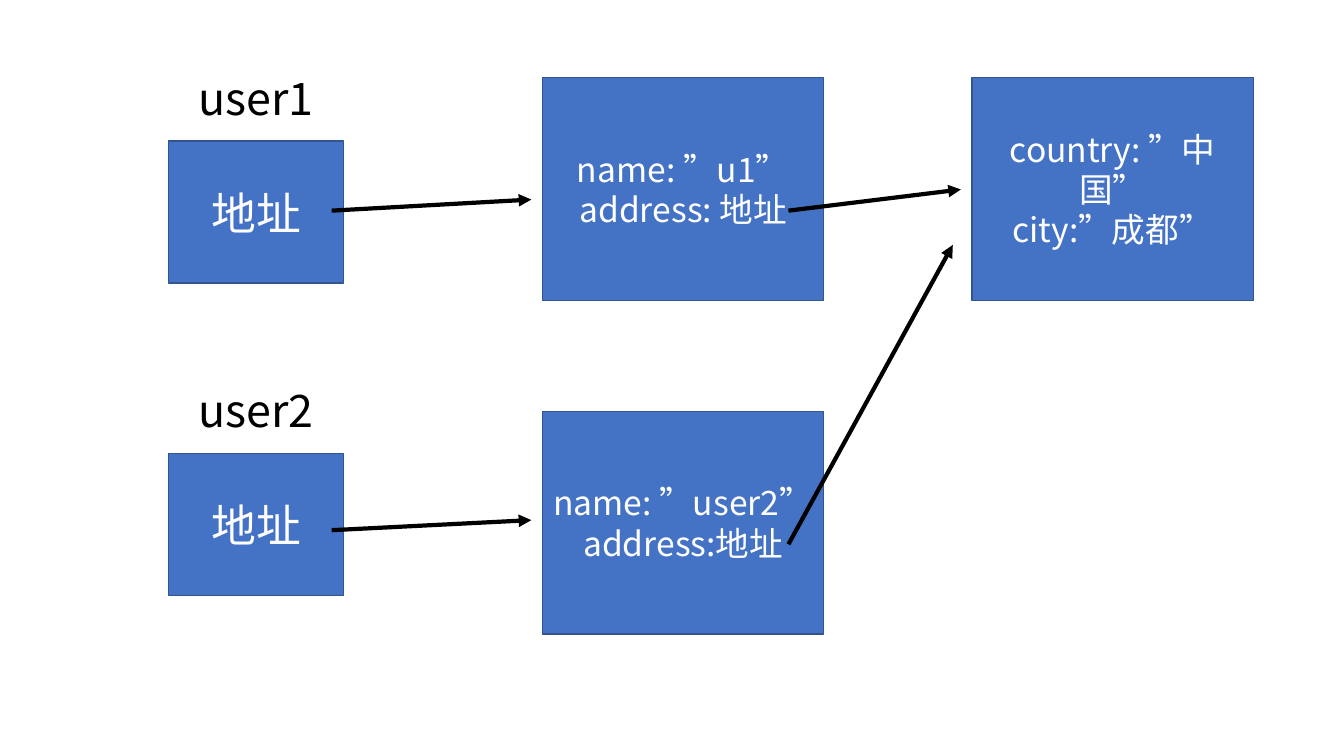
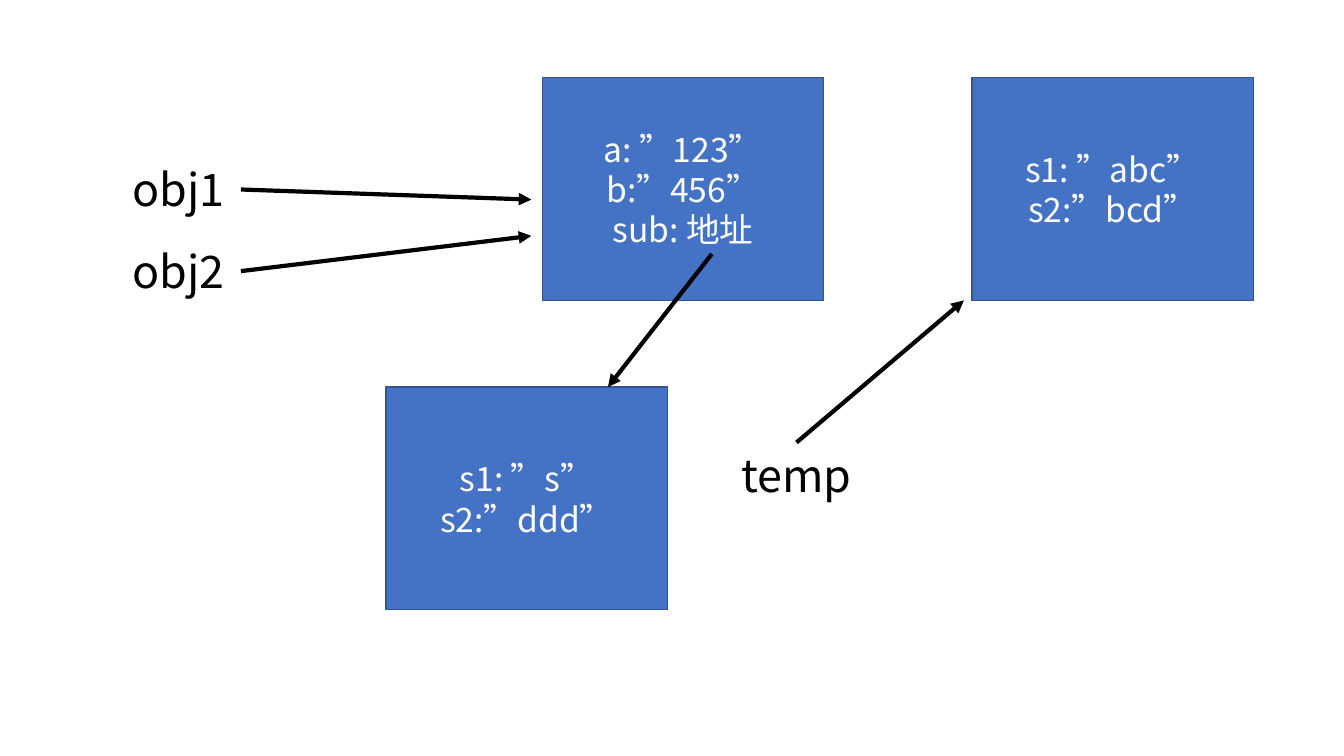
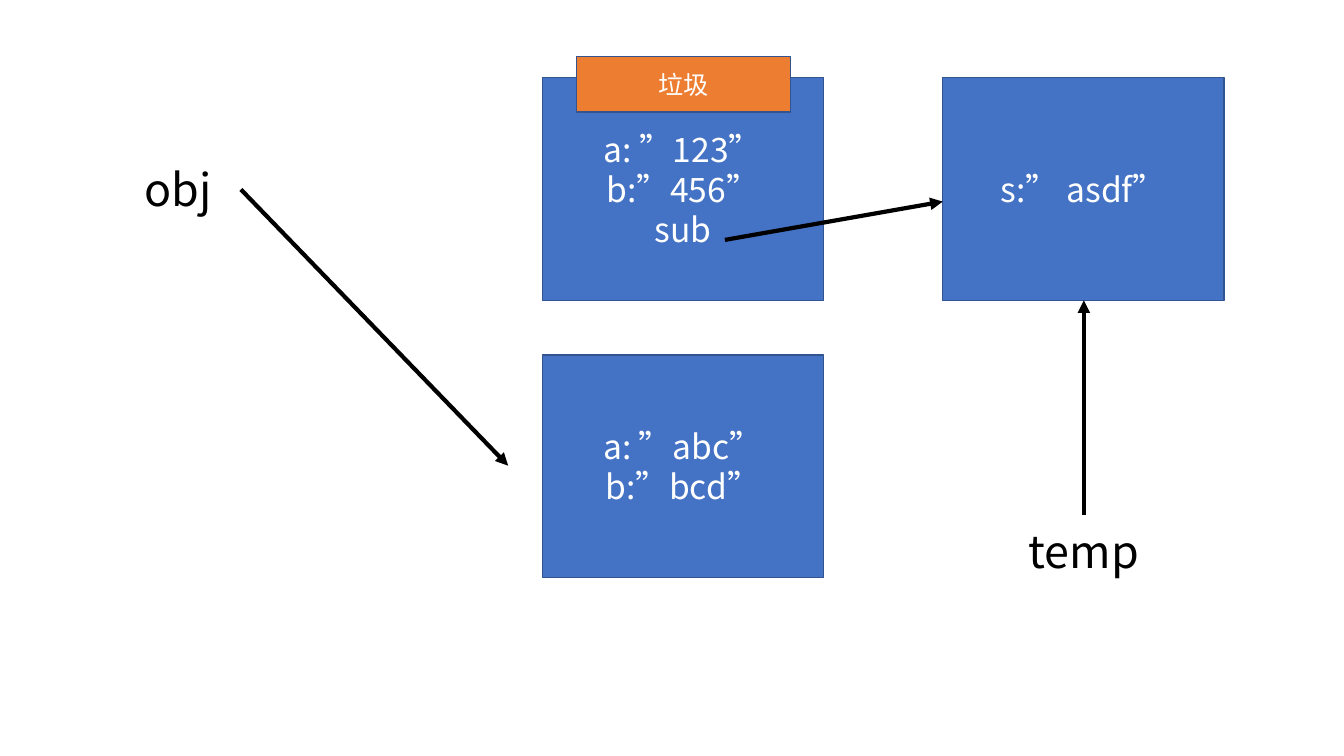
"""Build three object-reference diagrams with shared box, label and arrow styles."""
from lxml import etree
from pptx import Presentation
from pptx.dml.color import RGBColor as RGB
from pptx.enum.lang import MSO_LANGUAGE_ID as LANG
from pptx.enum.shapes import MSO_CONNECTOR as CONN, MSO_SHAPE as SHAPE
from pptx.enum.text import MSO_ANCHOR as ANCHOR, MSO_AUTO_SIZE as AUTO, PP_ALIGN as ALIGN
from pptx.oxml.ns import qn
from pptx.util import Inches, Pt

FONT = "Noto Sans CJK SC"
COLORS = {"box": "4472C4", "badge": "ED7D31", "border": "325491",
          "light": "FFFFFF", "dark": "000000"}
STYLES = {
    "object": {"size": (2.79, 2.21), "pt": 24, "fill": "box"},
    "variable": {"size": (1.74, 1.41), "pt": 32, "fill": "box"},
    "badge": {"size": (2.12, 0.55), "pt": 18, "fill": "badge"},
    "label": {"size": (1.74, 0.64), "pt": 32, "fill": None},
}
LEFT, MID, RIGHT, TOP = 1.67, 5.38, 9.64, 0.77
NAMES = 0.9

SLIDES = [
    {"items": [
        ("variable", LEFT, 1.4, ["地址"]),
        ("label", LEFT, 0.65, ["user1"]),
        ("object", MID, TOP, ["name: ”u1”", "address: 地址"]),
        ("object", RIGHT, TOP, ["country: ”中国”", "city:”成都”"]),
        ("object", MID, 4.08, ["name: ”user2”", "address:地址"]),
        ("variable", LEFT, 4.5, ["地址"]),
        ("label", LEFT, 3.75, ["user2"])],
     "arrows": [
        (7.82, 2.09, 9.53, 1.88),
        (3.29, 2.09, 5.27, 1.98),
        (7.82, 5.4, 9.45, 2.43),
        (3.29, 5.26, 5.27, 5.16)]},
    {"items": [
        ("label", NAMES, 1.56, ["obj1"]),
        ("object", MID, TOP, ["a: ”123”", "b:”456”", "sub: 地址"]),
        ("object", RIGHT, TOP, ["s1: ”abc”", "s2:”bcd”"]),
        ("label", NAMES, 2.37, ["obj2"]),
        ("object", 3.83, 3.84, ["s1: ”s”", "s2:”ddd”"]),
        ("label", 7.03, 4.39, ["temp"])],
     "arrows": [
        (7.06, 2.52, 6.03, 3.84),
        (2.39, 1.88, 5.27, 1.98),
        (2.39, 2.69, 5.27, 2.34),
        (7.9, 4.39, 9.56, 2.98)]},
    {"items": [
        ("label", NAMES, 1.56, ["obj"]),
        ("object", MID, TOP, ["a: ”123”", "b:”456”", "sub"]),
        ("object", MID, 3.52, ["a: ”abc”", "b:”bcd”"]),
        ("badge", 5.72, 0.56, ["垃圾"]),
        ("object", 9.35, TOP, ["s:” asdf”"]),
        ("label", 9.88, 5.15, ["temp"])],
     "arrows": [
        (2.39, 1.88, 5.04, 4.62),
        (7.19, 2.38, 9.35, 2),
        (10.75, 5.11, 10.75, 2.98)]},
]


def color(name):
    return RGB.from_string(COLORS[name])


def write(tf, lines, size, ink):
    tf.word_wrap = True
    for i, line in enumerate(lines):
        p = tf.add_paragraph() if i else tf.paragraphs[0]
        p.text = line
        p.alignment = ALIGN.CENTER
        p.font.name = FONT
        p.font.size = Pt(size)
        p.font.color.rgb = color(ink)
        p.font.language_id = LANG.SIMPLIFIED_CHINESE
        latin = p._p.find(".//" + qn("a:latin"))
        latin.addnext(etree.Element(qn("a:ea"), typeface=FONT))


def add_item(s, kind, left, top, lines):
    style = STYLES[kind]
    at = [Inches(v) for v in (left, top, *style["size"])]
    if style["fill"]:
        sp = s.shapes.add_shape(SHAPE.RECTANGLE, *at)
        sp.shadow.inherit = False
        sp.fill.solid()
        sp.fill.fore_color.rgb = color(style["fill"])
        sp.line.color.rgb = color("border")
        sp.line.width = Pt(1)
        sp.text_frame.vertical_anchor = ANCHOR.MIDDLE
        ink = "light"
    else:
        sp = s.shapes.add_textbox(*at)
        sp.text_frame.auto_size = AUTO.SHAPE_TO_FIT_TEXT
        ink = "dark"
    write(sp.text_frame, lines, style["pt"], ink)


def add_arrow(s, *ends):
    arrow = s.shapes.add_connector(CONN.STRAIGHT, *[Inches(v) for v in ends])
    arrow.line.color.rgb = color("dark")
    arrow.line.width = Pt(3)
    etree.SubElement(arrow.line._get_or_add_ln(), qn("a:tailEnd"), type="triangle")
    etree.SubElement(arrow._element.spPr, qn("a:effectLst"))


prs = Presentation()
prs.slide_width, prs.slide_height = Inches(13.33), Inches(7.5)
blank = prs.slide_layouts[6]
for content in SLIDES:
    s = prs.slides.add_slide(blank)
    for item in content["items"]:
        add_item(s, *item)
    for ends in content["arrows"]:
        add_arrow(s, *ends)
prs.save("out.pptx")
